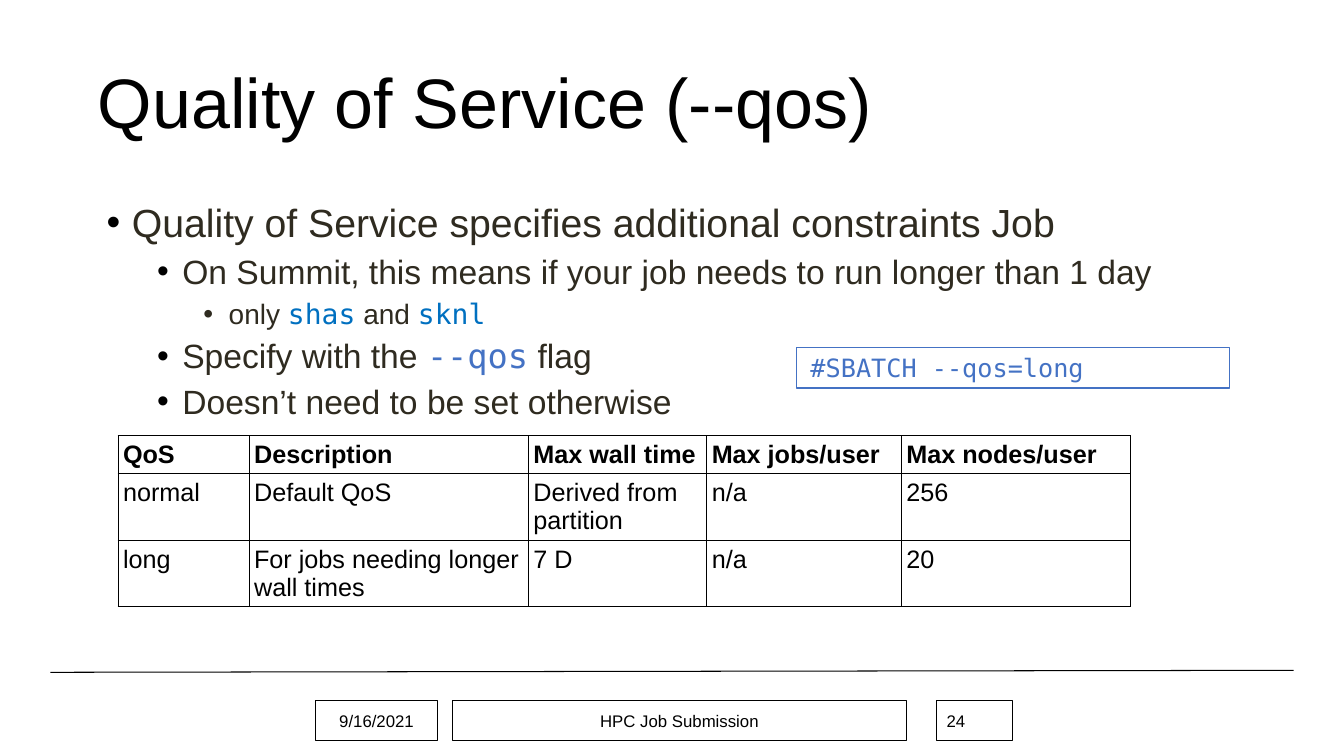
from dataclasses import dataclass

from lxml.etree import SubElement
from pptx import Presentation
from pptx.dml.color import RGBColor
from pptx.enum.shapes import MSO_CONNECTOR, MSO_SHAPE
from pptx.enum.text import MSO_ANCHOR, PP_ALIGN
from pptx.oxml.ns import qn
from pptx.util import Inches, Pt


@dataclass(frozen=True)
class Theme:
    black: str = "000000"
    body: str = "2F2B20"
    partition: str = "0070C0"
    flag: str = "4472C4"
    sans: str = "Arial"
    mono: str = "DejaVu Sans Mono"
    title_size: float = 50
    level_sizes: tuple = (28, 24, 20)
    table_size: float = 18
    footer_size: float = 12
    line_width: float = 0.75


THEME = Theme()
LEVEL_INDENTS = (0.29, 0.79, 1.25)
BULLET_COLORS = (THEME.black, THEME.black, THEME.body)

BULLETS = [
    (0, [("Quality of Service specifies additional constraints Job", None)]),
    (1, [("On Summit, this means if your job needs to run longer than 1 day", None)]),
    (2, [("only ", None), ("shas", THEME.partition), (" and ", None), ("sknl", THEME.partition)]),
    (1, [("Specify with the ", None), ("--qos", THEME.flag), (" flag", None)]),
    (1, [("Doesn’t need to be set otherwise", None)]),
]

QOS_COLUMNS = (1.3, 2.77, 1.77, 1.93, 2.27)
QOS_HEIGHTS = (0.38, 0.65, 0.65)
QOS_ROWS = [
    ("QoS", "Description", "Max wall time", "Max jobs/user", "Max nodes/user"),
    ("normal", "Default QoS", "Derived from partition", "n/a", "256"),
    ("long", "For jobs needing longer wall times", "7 D", "n/a", "20"),
]

FOOTERS = [
    ("9/16/2021", 3.13, 1.21, PP_ALIGN.CENTER),
    ("HPC Job Submission", 4.49, 4.5, PP_ALIGN.CENTER),
    ("24", 9.29, 0.75, PP_ALIGN.LEFT),
]


def format_run(run, size, color=THEME.black, name=THEME.sans, bold=False):
    run.font.size = Pt(size)
    run.font.name = name
    run.font.bold = bold
    run.font.color.rgb = RGBColor.from_string(color)


def set_indent(paragraph, left, first):
    properties = paragraph._p.get_or_add_pPr()
    properties.set("marL", str(Inches(left)))
    properties.set("indent", str(Inches(first)))
    return properties


def add_title(slide, text):
    title = slide.shapes.title
    title.left, title.top = Inches(0.87), Inches(0.32)
    title.width, title.height = Inches(11.5), Inches(1.45)
    frame = title.text_frame
    frame.text = text
    frame.vertical_anchor = MSO_ANCHOR.MIDDLE
    paragraph = frame.paragraphs[0]
    paragraph.alignment = PP_ALIGN.LEFT
    paragraph.line_spacing = 0.9
    format_run(paragraph.runs[0], THEME.title_size)


def add_rule(slide):
    rule = slide.shapes.add_connector(
        MSO_CONNECTOR.STRAIGHT, Inches(0.5), Inches(6.67), Inches(12.83), Inches(6.65))
    rule.line.color.rgb = RGBColor.from_string(THEME.black)
    rule.line.width = Pt(THEME.line_width)
    SubElement(rule._element.spPr, qn("a:effectLst"))


def add_bullets(slide):
    body = slide.shapes.add_textbox(Inches(0.92), Inches(1.97), Inches(11.83), Inches(4.55))
    frame = body.text_frame
    frame.word_wrap = True
    for index, (level, pieces) in enumerate(BULLETS):
        paragraph = frame.add_paragraph() if index else frame.paragraphs[0]
        properties = set_indent(paragraph, LEVEL_INDENTS[level], -0.25)
        bullet_color = SubElement(properties, qn("a:buClr"))
        SubElement(bullet_color, qn("a:srgbClr"), val=BULLET_COLORS[level])
        SubElement(properties, qn("a:buFont"), typeface=THEME.sans)
        SubElement(properties, qn("a:buChar"), char="•")
        paragraph.level = level
        paragraph.line_spacing = 0.9
        paragraph.space_before = Pt(6.5 if index else 0)
        for text, code_color in pieces:
            run = paragraph.add_run()
            run.text = text
            format_run(run, THEME.level_sizes[level], code_color or THEME.body,
                       THEME.mono if code_color else THEME.sans)


def add_cell_borders(cell):
    properties = cell._tc.get_or_add_tcPr()
    for side in ("lnL", "lnR", "lnT", "lnB"):
        border = SubElement(properties, qn(f"a:{side}"), w=str(Pt(THEME.line_width)))
        fill = SubElement(border, qn("a:solidFill"))
        SubElement(fill, qn("a:srgbClr"), val=THEME.black)


def add_qos_table(slide):
    table = slide.shapes.add_table(
        len(QOS_ROWS), len(QOS_COLUMNS), Inches(1.17), Inches(4.32),
        Inches(sum(QOS_COLUMNS)), Inches(sum(QOS_HEIGHTS))).table
    table.horz_banding = False
    for column, width in zip(table.columns, QOS_COLUMNS):
        column.width = Inches(width)
    for row_index, (row, height, texts) in enumerate(zip(table.rows, QOS_HEIGHTS, QOS_ROWS)):
        row.height = Inches(height)
        for cell, text in zip(row.cells, texts):
            add_cell_borders(cell)
            cell.fill.background()
            cell.margin_left = cell.margin_right = Inches(0.05)
            cell.margin_top = cell.margin_bottom = Inches(0.05)
            cell.text_frame.text = text
            format_run(cell.text_frame.paragraphs[0].runs[0], THEME.table_size,
                       bold=row_index == 0)


def add_box(slide, text, left, top, width, line_color, size, name, alignment, anchor):
    box = slide.shapes.add_shape(
        MSO_SHAPE.RECTANGLE, Inches(left), Inches(top), Inches(width), Inches(0.4))
    box.shadow.inherit = False
    box.fill.background()
    box.line.color.rgb = RGBColor.from_string(line_color)
    box.line.width = Pt(THEME.line_width)
    frame = box.text_frame
    frame.word_wrap = True
    frame.vertical_anchor = anchor
    frame.text = text
    paragraph = frame.paragraphs[0]
    paragraph.alignment = alignment
    format_run(paragraph.runs[0], size, line_color, name)
    return box


def main():
    presentation = Presentation()
    presentation.slide_width = Inches(13.33)
    presentation.slide_height = Inches(7.5)
    slide = presentation.slides.add_slide(presentation.slide_layouts[5])
    add_rule(slide)
    add_title(slide, "Quality of Service (--qos)")
    add_qos_table(slide)
    for text, left, width, alignment in FOOTERS:
        add_box(slide, text, left, 6.95, width, THEME.black, THEME.footer_size,
                THEME.sans, alignment, MSO_ANCHOR.MIDDLE)
    add_bullets(slide)
    directive = add_box(slide, "#SBATCH --qos=long", 7.9, 3.45, 4.29, THEME.flag,
                        THEME.table_size, THEME.mono, PP_ALIGN.LEFT, MSO_ANCHOR.TOP)
    set_indent(directive.text_frame.paragraphs[0], 0.04, 0)
    presentation.save("out.pptx")


if __name__ == "__main__":
    main()
